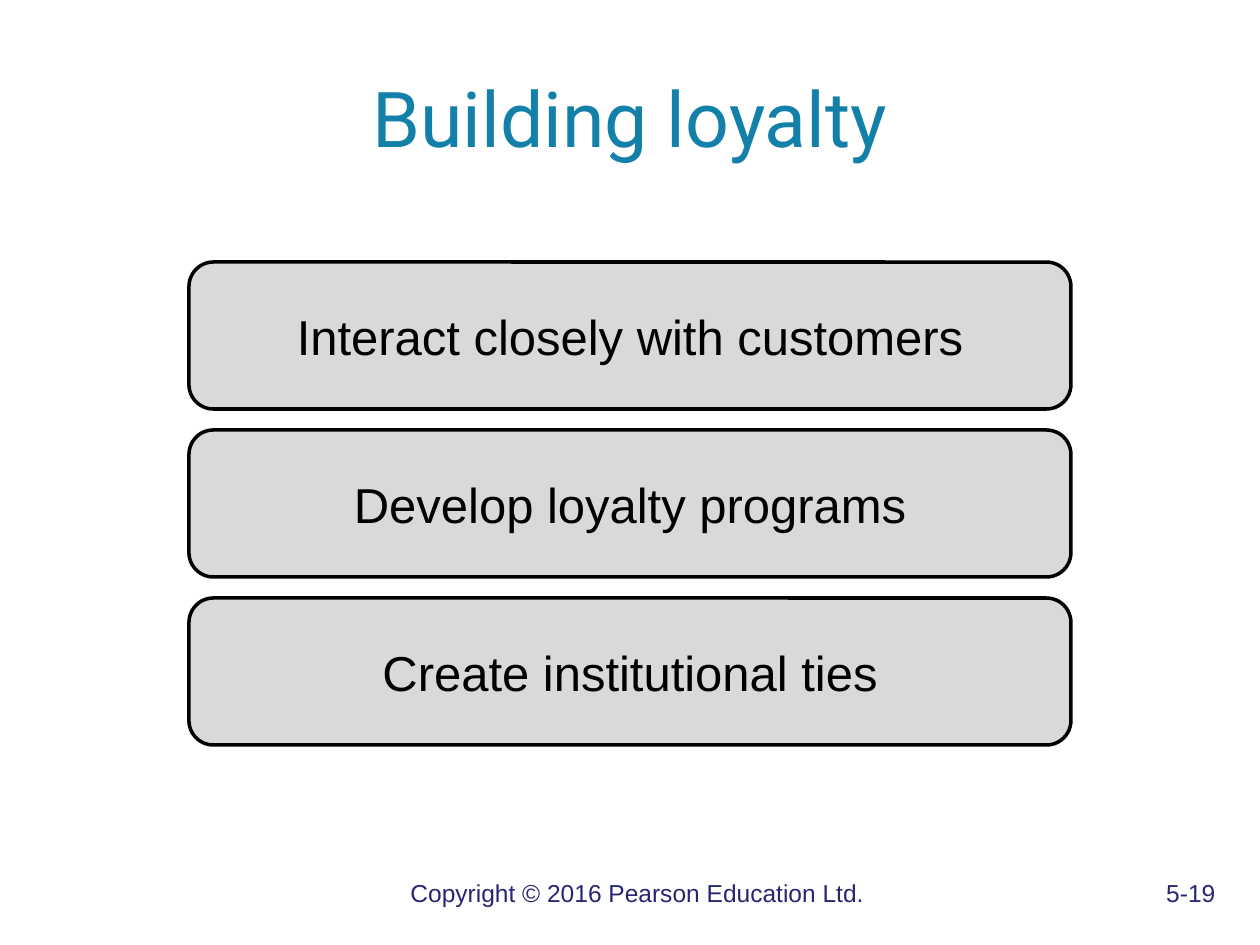
from lxml.etree import SubElement
from pptx import Presentation
from pptx.dml.color import RGBColor
from pptx.enum.shapes import MSO_SHAPE
from pptx.enum.text import MSO_ANCHOR, MSO_AUTO_SIZE, PP_ALIGN
from pptx.oxml.ns import qn
from pptx.util import Pt

EMU_PER_PX = 914400 / 126
TITLE_BLUE = RGBColor(0x13, 0x80, 0xAA)
FOOTER_NAVY = RGBColor(0x26, 0x26, 0x73)
PANEL_GREY = RGBColor(0xD9, 0xD9, 0xD9)
BLACK = RGBColor(0, 0, 0)

TITLE_FORMAT = {"name": "Roboto", "size": Pt(44), "color": TITLE_BLUE}
PANEL_FORMAT = {"name": "Arial", "size": Pt(28), "color": BLACK}
FOOTER_FORMAT = {"name": "Arial", "size": Pt(14), "color": FOOTER_NAVY}

STEPS = [
    "Interact closely with customers",
    "Develop loyalty programs",
    "Create institutional ties",
]


def px(length):
    return round(length * EMU_PER_PX)


class SlideBuilder:
    """Holds the deck, the current page and the shared text style."""

    def __init__(self, width, height):
        self.deck = Presentation()
        self.deck.slide_width, self.deck.slide_height = px(width), px(height)
        self.page = self.deck.slides.add_slide(self.deck.slide_layouts[5])

    def set_text(self, box, text, style, align, anchor):
        frame = box.text_frame
        frame.word_wrap = True
        frame.auto_size = MSO_AUTO_SIZE.NONE
        frame.vertical_anchor = anchor
        para = frame.paragraphs[0]
        para.alignment = align
        span = para.add_run()
        span.text = text
        for name, value in style.items():
            if name == "color":
                span.font.color.rgb = value
            else:
                setattr(span.font, name, value)
        return para

    def title(self, text, left, top, width, height):
        box = self.page.shapes.title
        frame = {"left": left, "top": top, "width": width, "height": height}
        for name, value in frame.items():
            setattr(box, name, px(value))
        self.set_text(box, text, TITLE_FORMAT, PP_ALIGN.CENTER, MSO_ANCHOR.MIDDLE)

    def panel(self, text, left, top, width, height):
        box = self.page.shapes.add_shape(
            MSO_SHAPE.ROUNDED_RECTANGLE, px(left), px(top), px(width), px(height))
        box.shadow.inherit = False
        box.fill.solid()
        box.fill.fore_color.rgb = PANEL_GREY
        box.line.color.rgb = BLACK
        box.line.width = Pt(2)
        self.set_text(box, text, PANEL_FORMAT, PP_ALIGN.CENTER, MSO_ANCHOR.MIDDLE)

    def footer(self, text, left, top, width, height, tabs):
        """Add a footer line; tabs holds (position, alignment) pairs."""
        box = self.page.shapes.add_textbox(px(left), px(top), px(width), px(height))
        para = self.set_text(box, text, FOOTER_FORMAT, PP_ALIGN.LEFT, MSO_ANCHOR.TOP)
        tab_list = SubElement(para._p.get_or_add_pPr(), qn("a:tabLst"))
        for position, align in tabs:
            SubElement(tab_list, qn("a:tab"), pos=str(px(position)), algn=align)


def main():
    builder = SlideBuilder(1260, 945)
    builder.footer("\tCopyright © 2016 Pearson Education Ltd.\t5-19",
                   53, 872, 1176, 66, [(345, "l"), (1150, "r")])
    builder.title("Building loyalty", 63, 38, 1134, 158)
    panel_height, gap = 147, 21
    for row, step in enumerate(STEPS):
        builder.panel(step, 189, 262 + row * (panel_height + gap), 882, panel_height)
    builder.deck.save("out.pptx")


if __name__ == "__main__":
    main()
